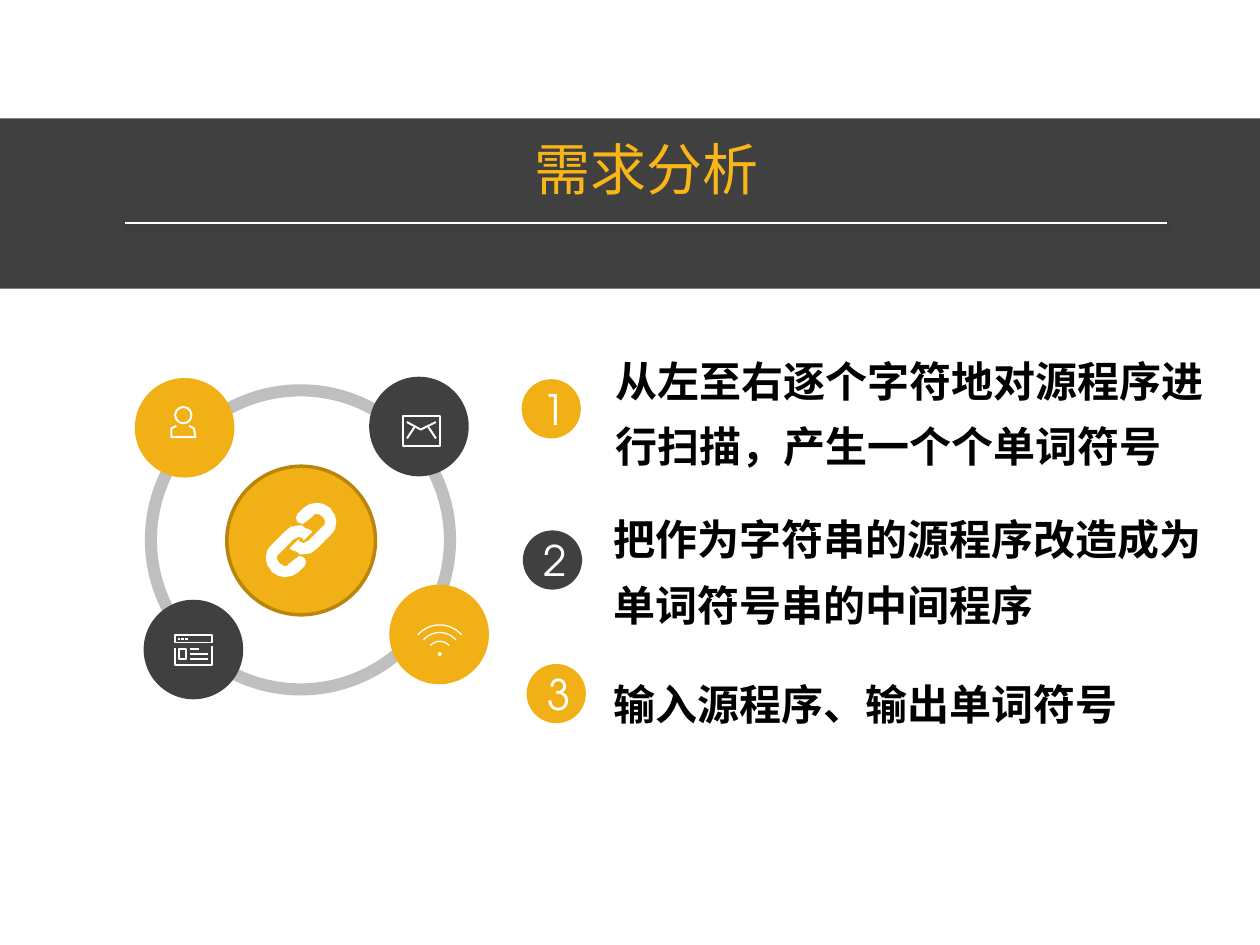
from math import cos, radians, sin

from lxml.etree import SubElement
from pptx import Presentation
from pptx.dml.color import RGBColor
from pptx.enum.shapes import MSO_CONNECTOR, MSO_SHAPE
from pptx.enum.text import MSO_ANCHOR, PP_ALIGN
from pptx.oxml.ns import qn
from pptx.util import Emu, Pt

EMU_PER_PX = 9144
GOLD, DARK, WHITE = "F1B015", "404040", "FFFFFF"
CJK_FONT, NUMBER_FONT = "Noto Sans CJK SC", "TeX Gyre Adventor"
DISC = 79
LINK_HALF = [
    (26, 18), (29, 18), (31, 20), (34, 21), (36, 22), (37, 23), (30, 30), (29, 28),
    (26, 27), (24, 28), (22, 29), (11, 40), (9, 42), (9, 45), (11, 48), (14, 50),
    (17, 50), (19, 48), (24, 44), (27, 42), (31, 44), (32, 47), (31, 50), (26, 55),
    (21, 58), (15, 59), (10, 58), (5, 55), (1, 49), (0, 44), (1, 38), (4, 34),
    (15, 23), (20, 19),
]


def px(length):
    """Turn px into EMU."""
    return Emu(round(length * EMU_PER_PX))


def color(value):
    """Turn a hex string into a colour."""
    return RGBColor.from_string(value)


def paint(shape, fill=None, line=None, weight=1.13):
    """Set fill and outline, and drop the shadow."""
    shape.shadow.inherit = False
    if fill:
        shape.fill.solid()
        shape.fill.fore_color.rgb = color(fill)
    else:
        shape.fill.background()
    if line:
        shape.line.color.rgb = color(line)
        shape.line.width = Pt(weight)
    else:
        shape.line.fill.background()
    return shape


def add_preset(slide, preset, left, top, width, height, **style):
    """Add a painted preset shape."""
    shape = slide.shapes.add_shape(preset, px(left), px(top), px(width), px(height))
    return paint(shape, **style)


def add_outline(slide, left, top, contours, closed=False, **style):
    """Add a freeform from contours of points relative to left and top."""
    contours = [[(px(left + x), px(top + y)) for x, y in points] for points in contours]
    builder = slide.shapes.build_freeform(*contours[0][0], scale=1.0)
    for index, points in enumerate(contours):
        if index:
            builder.move_to(*points[0])
        builder.add_line_segments(points[1:], close=closed)
    return paint(builder.convert_to_shape(), **style)


def add_stroke(slide, x1, y1, x2, y2, weight=1.13):
    """Add a white straight line and return its empty effect list."""
    stroke = slide.shapes.add_connector(
        MSO_CONNECTOR.STRAIGHT, px(x1), px(y1), px(x2), px(y2))
    stroke.line.color.rgb = color(WHITE)
    stroke.line.width = Pt(weight)
    return SubElement(stroke._element.spPr, qn("a:effectLst"))


def write(frame, text, size, font, ink, align=None, bold=None, spacing=None):
    """Write one run of text into a frame."""
    frame.word_wrap = True
    paragraph = frame.paragraphs[0]
    paragraph.alignment = align
    paragraph.line_spacing = spacing
    run = paragraph.add_run()
    run.text = text
    run.font.size = Pt(size)
    run.font.name = font
    run.font.bold = bold
    run.font.color.rgb = color(ink)


def add_text(slide, left, top, width, height, text, size, ink, **layout):
    """Add a text box holding one run."""
    box = slide.shapes.add_textbox(px(left), px(top), px(width), px(height))
    write(box.text_frame, text, size, CJK_FONT, ink, **layout)


def draw_person(slide, left, top):
    """Draw the person icon inside its disc."""
    add_preset(slide, MSO_SHAPE.OVAL, left + 32, top + 23, 13, 13, line=WHITE)
    shoulders = [(14, 0), (18, 2), (19, 9), (0, 9), (0, 2), (4, 0)]
    add_outline(slide, left + 29, top + 38, [shoulders], line=WHITE)


def draw_envelope(slide, left, top):
    """Draw the envelope icon inside its disc."""
    add_preset(slide, MSO_SHAPE.RECTANGLE, left + 27, top + 31, 29, 24, line=WHITE)
    add_outline(slide, left + 30, top + 36, [[(23, 0), (11, 6), (0, 0)]], line=WHITE)
    for outer, inner in ((30, 36), (53, 47)):
        add_stroke(slide, left + outer, top + 49, left + inner, top + 40)


def draw_browser(slide, left, top):
    """Draw the browser window icon inside its disc."""
    add_preset(slide, MSO_SHAPE.RECTANGLE, left + 25, top + 28, 29, 6, line=WHITE)
    add_preset(slide, MSO_SHAPE.RECTANGLE, left + 28, top + 39, 6, 8, line=WHITE)
    window = [(29, 0), (29, 15), (0, 15), (0, 1)]
    add_outline(slide, left + 25, top + 37, [window], line=WHITE)
    for dot in range(3):
        x = left + 27 + 3 * dot
        add_stroke(slide, x, top + 31, x + 2, top + 31)
    for row, length in enumerate((7, 14, 14)):
        y = top + 39 + 4 * row
        add_stroke(slide, left + 37, y, left + 37 + length, y)


def draw_wifi(slide, left, top):
    """Draw the wireless icon as concentric arcs inside its disc."""
    x, y = left + 40, top + 55
    for radius in (23, 17, 10):
        angles = [radians(step) for step in range(-49, 50, 7)]
        arc = [(radius * sin(angle), -radius * cos(angle)) for angle in angles]
        add_outline(slide, x, y, [arc], line=WHITE, weight=0.75)
    add_preset(slide, MSO_SHAPE.OVAL, x - 1, y - 1, 2, 2, line=WHITE, weight=0.75)


def draw_wheel(slide, left, top):
    """Draw the ring, its hub with a chain link, and four icon discs."""
    ring = add_preset(slide, MSO_SHAPE.DONUT, left + 8, top + 6, 247, 247, fill="BFBFBF")
    ring.adjustments[0] = 0.039
    add_preset(slide, MSO_SHAPE.OVAL, left + 73, top + 71, 118, 118,
               fill=GOLD, line="B9860B", weight=2)
    other_half = [(56 - x, 59 - y) for x, y in LINK_HALF]
    add_outline(slide, left + 104, top + 100, [LINK_HALF, other_half],
                closed=True, fill=WHITE)
    discs = (
        (0, 1, GOLD, draw_person),
        (186, 0, DARK, draw_envelope),
        (7, 177, DARK, draw_browser),
        (202, 165, GOLD, draw_wifi),
    )
    for x, y, fill, draw_icon in discs:
        add_preset(slide, MSO_SHAPE.OVAL, left + x, top + y, DISC, DISC, fill=fill)
        draw_icon(slide, left + x, top + y)


def draw_requirements(slide, left, top):
    """Place the numbered requirements."""
    requirements = (
        (0, 36, GOLD, 65, 0, 115, "从左至右逐个字符地对源程序进行扫描，产生一个个单词符号"),
        (1, 156, DARK, 63, 126, 115, "把作为字符串的源程序改造成为单词符号串的中间程序"),
        (4, 262, GOLD, 63, 257, 63, "输入源程序、输出单词符号"),
    )
    for number, (x, y, fill, text_x, text_y, height, text) in enumerate(requirements, 1):
        badge = add_preset(slide, MSO_SHAPE.OVAL, left + x, top + y, 47, 47, fill=fill)
        badge.text_frame.vertical_anchor = MSO_ANCHOR.MIDDLE
        write(badge.text_frame, str(number), 24, NUMBER_FONT, WHITE, PP_ALIGN.CENTER)
        add_text(slide, left + text_x, top + text_y, 501, height, text, 24, "000000",
                 bold=True, spacing=1.3)


def draw_header(slide, left, top, width, height):
    """Draw the title band with its shadowed rule."""
    add_preset(slide, MSO_SHAPE.RECTANGLE, left, top, width, height, fill=DARK)
    add_text(slide, left + 161, top + 8, 704, 64, "需求分析", 32, "F9B616",
             align=PP_ALIGN.CENTER)
    effects = add_stroke(slide, left + 99, top + 83, left + 926, top + 83, weight=1)
    shadow = SubElement(effects, qn("a:outerShdw"), blurRad=str(Pt(3.1)),
                        dist=str(Pt(1.6)), dir="5400000", rotWithShape="0")
    shade = SubElement(shadow, qn("a:srgbClr"), val="000000")
    SubElement(shade, qn("a:alpha"), val="38000")


def main():
    """Build and save the slide."""
    deck = Presentation()
    deck.slide_width, deck.slide_height = px(1000), px(750)
    slide = deck.slides.add_slide(deck.slide_layouts[6])
    draw_wheel(slide, 107, 299)
    draw_requirements(slide, 414, 265)
    draw_header(slide, 0, 94, 1000, 135)
    deck.save("out.pptx")


if __name__ == "__main__":
    main()
